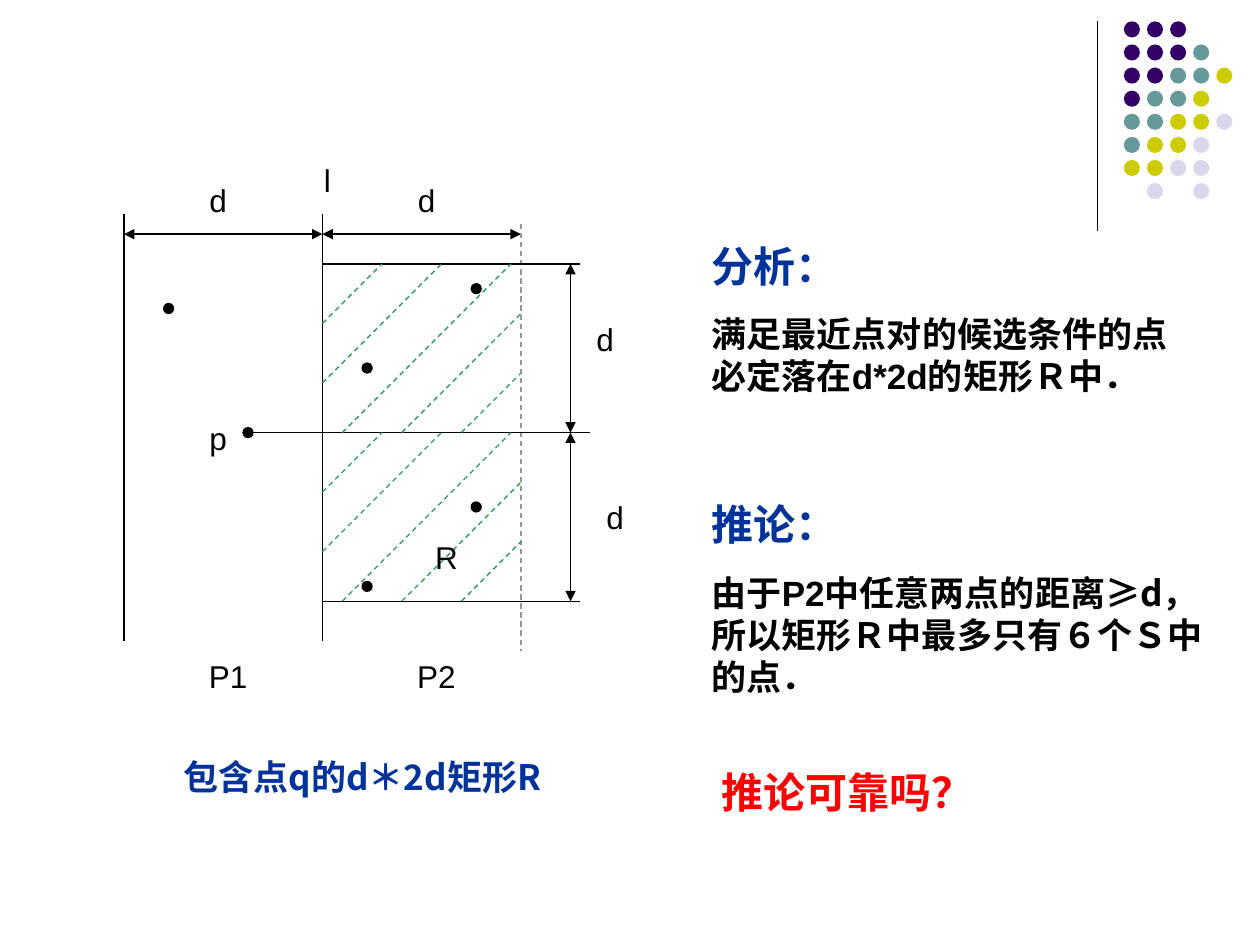
import dataclasses

import pptx
import pptx.dml.color
import pptx.enum.dml
import pptx.enum.shapes
import pptx.enum.text
import pptx.oxml.ns
import pptx.oxml.xmlchemy
import pptx.util

Pt = pptx.util.Pt
CENTER = pptx.enum.text.PP_ALIGN.CENTER
LEFT = pptx.enum.text.PP_ALIGN.LEFT


@dataclasses.dataclass(frozen=True)
class Theme:
    black: str = "000000"
    blue: str = "003399"
    red: str = "FF0000"
    green: str = "339966"
    gray: str = "969696"
    purple: str = "330066"
    teal: str = "669999"
    lime: str = "CCCC00"
    pale: str = "D8D8EC"
    latin: str = "Arial"
    asian: str = "Noto Sans CJK SC"
    label: int = 18
    body: int = 20
    head: int = 24
    rule: float = 0.75


THEME = Theme()
UNIT = 5.67
LEFT_EDGE, TOP_EDGE = 70.87, 122.46


def color(code):
    return pptx.dml.color.RGBColor.from_string(code)


def add_tag(parent, name, **attrs):
    child = pptx.oxml.xmlchemy.OxmlElement(name)
    for key, value in attrs.items():
        child.set(key, value)
    parent.append(child)


def write(para, text, size=THEME.label, ink=THEME.black, bold=False, face=THEME.latin):
    run = para.add_run()
    run.text = text
    font = run.font
    font.size, font.bold, font.name = Pt(size), bold, face
    font.color.rgb = color(ink)
    add_tag(run._r.get_or_add_rPr(), "a:ea", typeface=THEME.asian)


def grid(x, y):
    return LEFT_EDGE + x * UNIT, TOP_EDGE + y * UNIT


class Board:
    def __init__(self, slide, theme):
        self.slide = slide
        self.theme = theme

    def line(self, start, end, ink=None, dash=False, arrows=False):
        link = self.slide.shapes.add_connector(
            pptx.enum.shapes.MSO_CONNECTOR.STRAIGHT, *map(Pt, start + end))
        link.line.color.rgb = color(ink or self.theme.black)
        link.line.width = Pt(self.theme.rule)
        if dash:
            link.line.dash_style = pptx.enum.dml.MSO_LINE.DASH
        if arrows:
            for name in ("a:headEnd", "a:tailEnd"):
                add_tag(link.line._get_or_add_ln(), name, type="triangle")
        add_tag(link._element.spPr, "a:effectLst")

    def dot(self, x, y, size, ink, edge=False):
        dot = self.slide.shapes.add_shape(
            pptx.enum.shapes.MSO_SHAPE.OVAL, Pt(x), Pt(y), Pt(size), Pt(size))
        dot.shadow.inherit = False
        dot.fill.solid()
        dot.fill.fore_color.rgb = color(ink)
        if edge:
            dot.line.color.rgb = color(ink)
            dot.line.width = Pt(self.theme.rule)
        else:
            dot.line.fill.background()

    def box(self, x, y, wide, high):
        frame = self.slide.shapes.add_textbox(Pt(x), Pt(y), Pt(wide), Pt(high)).text_frame
        frame.word_wrap = True
        return frame

    def label(self, x, y, text):
        para = self.box(*grid(x, y), 39.6, 28.8).paragraphs[0]
        para.alignment = CENTER
        write(para, text)

    def title(self, x, y, wide, high, text, size, ink, face=THEME.latin, align=LEFT):
        frame = self.box(x, y, wide, high)
        para = frame.paragraphs[0]
        para.alignment = align
        para.line_spacing = Pt(size * 1.2)
        write(para, text, size=size, ink=ink, bold=True, face=face)
        return frame

    def note(self, y, wide, high, head, runs):
        theme = self.theme
        frame = self.title(399.6, y, wide, high, head, theme.head, theme.blue)
        para = frame.add_paragraph()
        para.space_before = Pt(12.5)
        para.line_spacing = Pt(theme.body * 1.2)
        for text, face in runs:
            write(para, text, size=theme.body, bold=True, face=face)


def draw_motif(board):
    theme = board.theme
    inks = {"P": theme.purple, "T": theme.teal, "Y": theme.lime, "L": theme.pale}
    board.line((627.1, 12.2), (627.1, 131.8))
    rows = ("PPP", "PPPT", "PPTTY", "PTTY", "TTYYL", "TYYL", "YYLL", " L L")
    for row, marks in enumerate(rows):
        for col, mark in enumerate(marks):
            if mark in inks:
                board.dot(642.2 + col * 13.2, 12.2 + row * 13.2, 9.2, inks[mark])


def draw_graph(board):
    theme = board.theme
    for x, end in ((0, 33), (0, 43), (20, 43)):
        board.line(grid(x, 0), grid(x, end))
    for x in (0, 20):
        board.line(grid(x, 2), grid(x + 20, 2), arrows=True)
    for x, y in ((4, 9), (12, 21.5), (24, 37), (24, 15), (35, 7), (35, 29)):
        board.dot(*grid(x, y), UNIT, theme.black, edge=True)
    board.line(grid(40, 1), grid(40, 44), ink=theme.gray, dash=True)
    for x, end, y in ((12, 47, 22), (20, 46, 5), (20, 46, 39)):
        board.line(grid(x, y), grid(end, y))
    for top in (5, 22):
        board.line(grid(45, top), grid(45, top + 17), arrows=True)
        for x, y, run in ((20, 6, 6), (20, 12, 12), (22, 17, 17), (28, 17, 12), (34, 17, 6)):
            board.line(grid(x, top + y), grid(x + run, top + y - run),
                       ink=theme.green, dash=True)
    labels = ((17, -6, "l"), (27, -4, "d"), (6, -4, "d"), (45, 10, "d"), (46, 28, "d"),
              (7, 44, "P1"), (28, 44, "P2"), (6, 20, "p"), (29, 32, "R"))
    for x, y, text in labels:
        board.label(x, y, text)


def draw_notes(board):
    theme = board.theme
    board.title(54, 428.4, 306, 31.7, "包含点q的d＊2d矩形R", theme.body, theme.blue,
                face=theme.asian, align=CENTER)
    board.note(133.9, 289.4, 96.5, "分析：",
               [("满足最近点对的候选条件的点必定落在d*2d的矩形Ｒ中．", theme.latin)])
    board.note(281.5, 300.2, 121, "推论：",
               [("由于P2中任意两点的距离", theme.latin), ("≥d，所以", theme.asian),
                ("矩形Ｒ中最多只有６个Ｓ中的点．", theme.latin)])
    board.title(405.4, 434.2, 181.4, 36, "推论可靠吗？", theme.head, theme.red)


def main():
    deck = pptx.Presentation()
    deck.slide_width, deck.slide_height = Pt(720), Pt(540)
    board = Board(deck.slides.add_slide(deck.slide_layouts[6]), THEME)
    draw_motif(board)
    draw_graph(board)
    draw_notes(board)
    deck.save("out.pptx")


if __name__ == "__main__":
    main()
